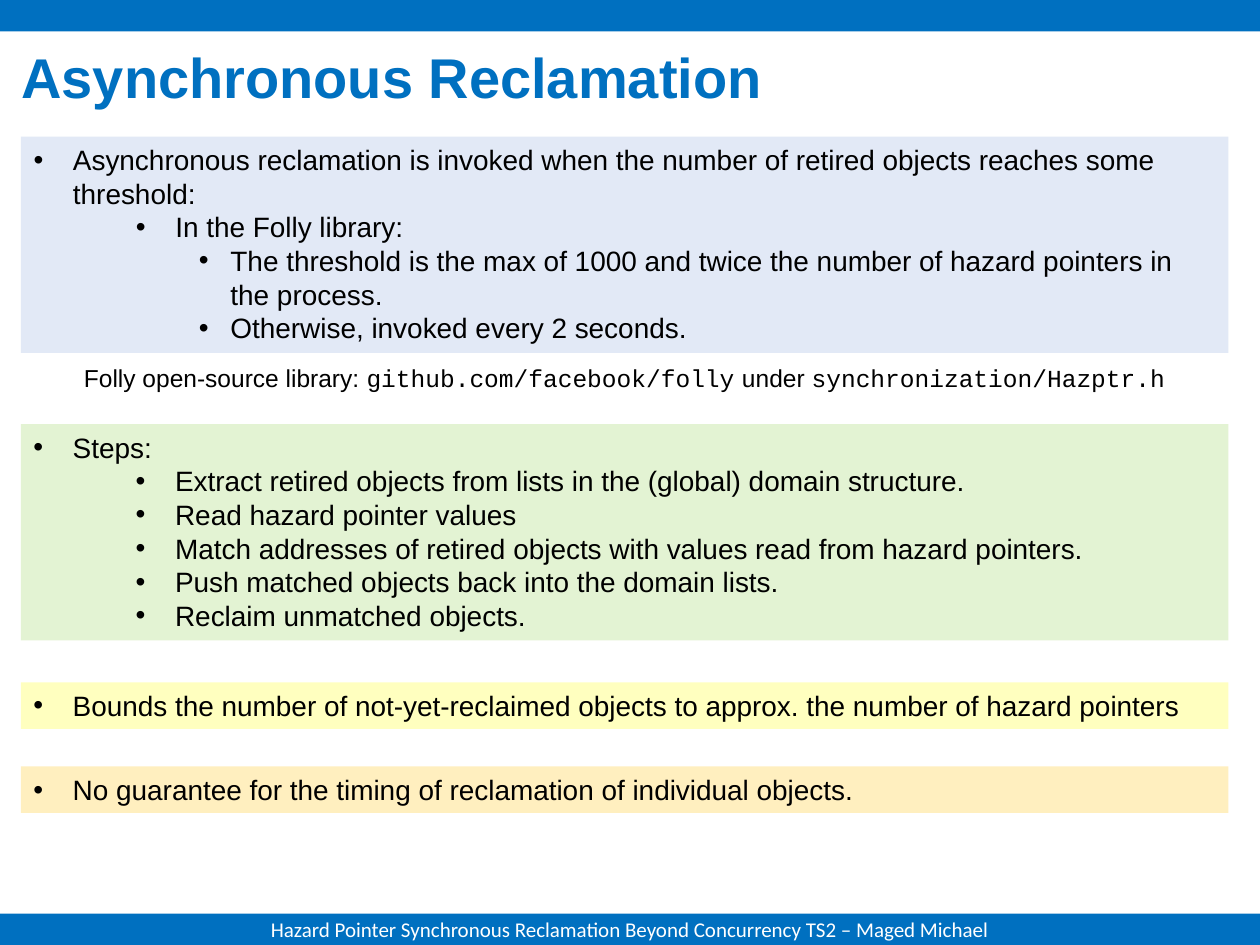
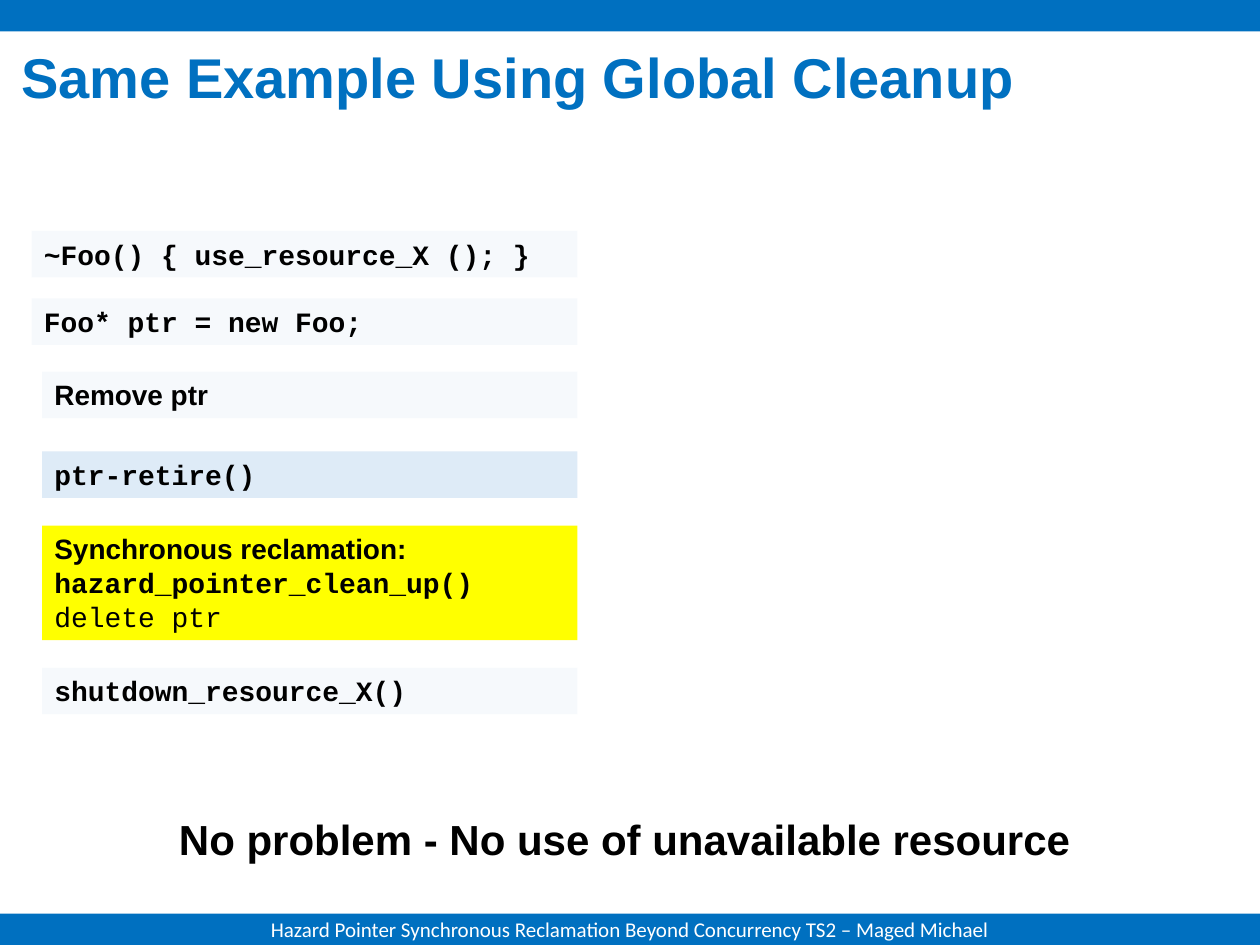
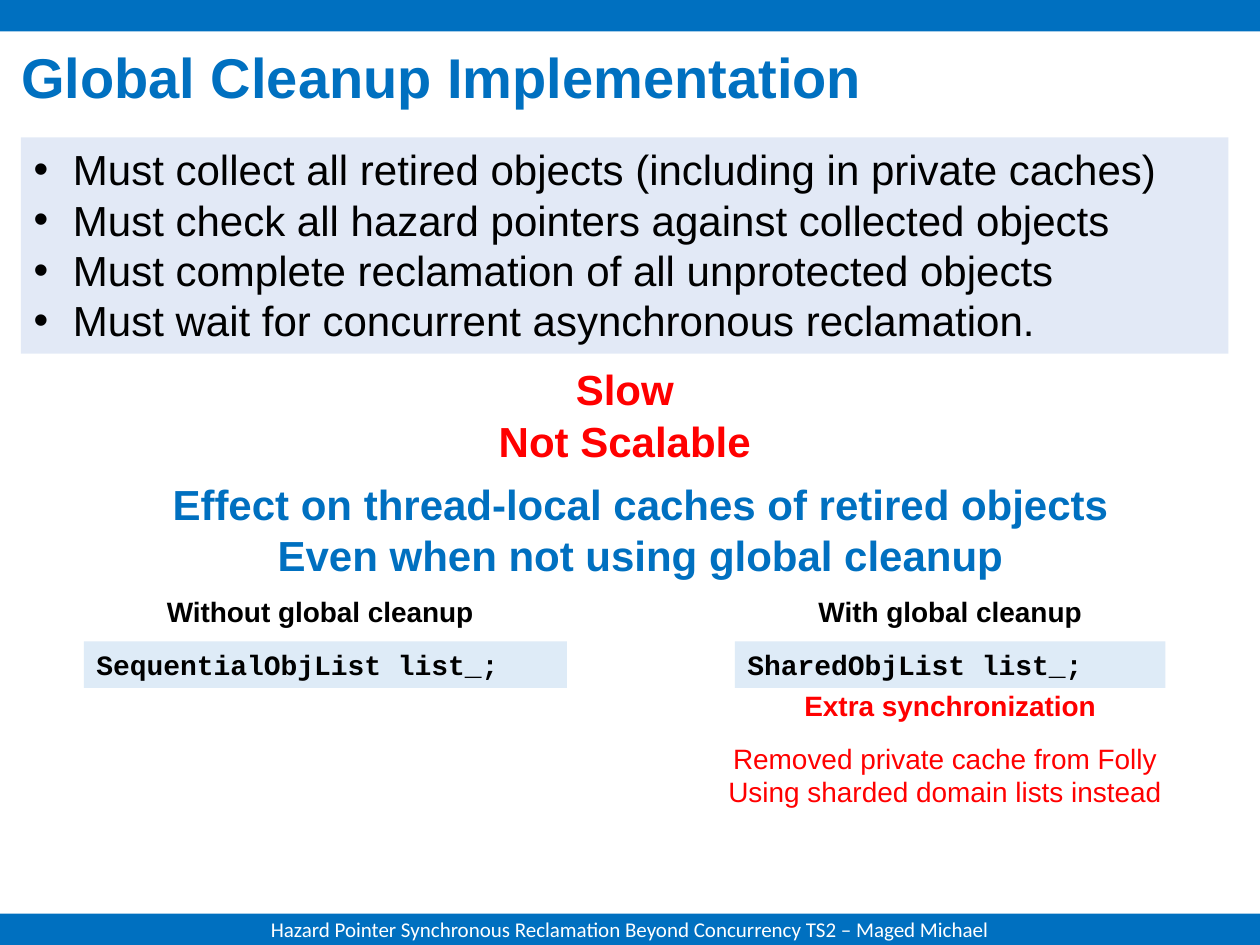
import pptx
import pptx.dml.color
import pptx.enum.shapes
import pptx.enum.text
import pptx.oxml.ns
import pptx.util
from lxml import etree

Pt = pptx.util.Pt
ALIGN = pptx.enum.text.PP_ALIGN
ANCHOR = pptx.enum.text.MSO_ANCHOR

COLORS = {
    "blue": "0070C0", "periwinkle": "8FAADC", "green": "92D050",
    "yellow": "FFFF00", "amber": "FFC000", "ice": "DEEBF7",
    "red": "FF0000", "black": "000000", "white": "FFFFFF",
}
SANS, MONO, FOOTER_FONT = "Arial", "Courier New", "Calibri"
FOOTER = "Hazard Pointer Synchronous Reclamation Beyond Concurrency TS2 – Maged Michael"
WIDTH, HEIGHT, BAR = 720, 540, 18
LEFT, FULL = 12, 690        # the wide column shared by panels and captions
LINE = 26.6                 # height of a box with one 16 pt line
INDENTS = [(22.5, -22.5), (81, -22.5), (112.5, -18)]    # margin, first line
TITLE_ONLY, TITLE_AND_BODY = 5, 1


def rgb(name):
    return pptx.dml.color.RGBColor.from_string(COLORS[name])


class Deck:
    def __init__(self):
        self.prs = pptx.Presentation()
        self.prs.slide_width, self.prs.slide_height = Pt(WIDTH), Pt(HEIGHT)
        self.s = None

    def new_slide(self, title, layout):
        self.s = self.prs.slides.add_slide(self.prs.slide_layouts[layout])
        sp = self.s.shapes.title
        self.place(sp, 5, 27, 709, 39.6)
        self.set_text(sp, [title], size=32, color="blue", bold=True, anchor=ANCHOR.MIDDLE)
        sp.text_frame.paragraphs[0].line_spacing = 0.8
        self.rect(0, 0, WIDTH, BAR, "blue")
        sp = self.rect(0, HEIGHT - BAR, WIDTH, BAR, "blue")
        self.set_text(sp, [FOOTER], size=12, font=FOOTER_FONT, color="white",
                      align=ALIGN.CENTER, anchor=ANCHOR.MIDDLE)

    def place(self, sp, x, y, w, h):
        sp.left, sp.top, sp.width, sp.height = Pt(x), Pt(y), Pt(w), Pt(h)

    def paint(self, sp, color, opacity=100):
        sp.fill.solid()
        sp.fill.fore_color.rgb = rgb(color)
        if opacity < 100:
            clr = sp._element.spPr.find(".//" + pptx.oxml.ns.qn("a:srgbClr"))
            etree.SubElement(clr, pptx.oxml.ns.qn("a:alpha"), val=str(opacity * 1000))

    def rect(self, x, y, w, h, color, opacity=100):
        sp = self.s.shapes.add_shape(pptx.enum.shapes.MSO_SHAPE.RECTANGLE,
                                     Pt(x), Pt(y), Pt(w), Pt(h))
        sp.shadow.inherit = False
        sp.line.fill.background()
        self.paint(sp, color, opacity)
        return sp

    def set_text(self, sp, lines, size=16, font=SANS, color="black", bold=False,
                 align=ALIGN.LEFT, anchor=ANCHOR.TOP):
        """Fill a shape; a line is a string or a list of (text, font, bold) runs."""
        tf = sp.text_frame
        tf.word_wrap = True
        tf.auto_size = pptx.enum.text.MSO_AUTO_SIZE.NONE
        tf.vertical_anchor = anchor
        for i, line in enumerate(lines):
            p = tf.paragraphs[0] if i == 0 else tf.add_paragraph()
            p.alignment = align
            p.space_before = Pt(0)
            for text, face, heavy in [(line, font, bold)] if isinstance(line, str) else line:
                r = p.add_run()
                r.text = text
                r.font.name, r.font.size, r.font.bold = face, Pt(size), heavy
                r.font.color.rgb = rgb(color)

    def bullets(self, sp, items, size=16):
        """Fill a shape with (level, text) list items."""
        self.set_text(sp, [text for _, text in items], size)
        for p, (level, _) in zip(sp.text_frame.paragraphs, items):
            p.level = level
            pPr = p._p.get_or_add_pPr()
            margin, first = INDENTS[level]
            pPr.set("marL", str(Pt(margin)))
            pPr.set("indent", str(Pt(first)))
            etree.SubElement(pPr, pptx.oxml.ns.qn("a:buFont"), typeface=SANS)
            etree.SubElement(pPr, pptx.oxml.ns.qn("a:buChar"), char="•")

    def body(self, y, h, items, size=16):
        sp = self.s.placeholders[1]
        self.place(sp, LEFT, y, FULL, h)
        self.paint(sp, "periwinkle", 25)
        self.bullets(sp, items, size)

    def panel(self, y, h, color, items):
        self.bullets(self.rect(LEFT, y, FULL, h, color, 25), items)

    def code(self, x, y, w, lines, h=LINE, color="ice", opacity=100, font=MONO):
        self.set_text(self.rect(x, y, w, h, color, opacity), lines, font=font, bold=True)

    def caption(self, x, y, w, h, lines, size=16, color="black", bold=True):
        sp = self.s.shapes.add_textbox(Pt(x), Pt(y), Pt(w), Pt(h))
        self.set_text(sp, lines, size, color=color, bold=bold, align=ALIGN.CENTER)


def asynchronous_reclamation(d):
    d.new_slide("Asynchronous Reclamation", TITLE_AND_BODY)
    d.body(78, 123.6, [
        (0, "Asynchronous reclamation is invoked when the number of retired objects "
            "reaches some threshold:"),
        (1, "In the Folly library:"),
        (2, "The threshold is the max of 1000 and twice the number of hazard pointers "
            "in the process."),
        (2, "Otherwise, invoked every 2 seconds."),
    ])
    d.caption(LEFT, 204, FULL, 24.5, [[
        ("Folly open-source library: ", SANS, False),
        ("github.com/facebook/folly", MONO, False),
        (" under ", SANS, False),
        ("synchronization/Hazptr.h", MONO, False),
    ]], size=14)
    d.panel(242.4, 123.6, "green", [
        (0, "Steps:"),
        (1, "Extract retired objects from lists in the (global) domain structure."),
        (1, "Read hazard pointer values"),
        (1, "Match addresses of retired objects with values read from hazard pointers."),
        (1, "Push matched objects back into the domain lists."),
        (1, "Reclaim unmatched objects."),
    ])
    d.panel(390, LINE, "yellow", [
        (0, "Bounds the number of not-yet-reclaimed objects to approx. "
            "the number of hazard pointers")])
    d.panel(438, LINE, "amber", [
        (0, "No guarantee for the timing of reclamation of individual objects.")])


def global_cleanup_example(d):
    d.new_slide("Same Example Using Global Cleanup", TITLE_ONLY)
    outer, inner, right = 18, 24, 330
    for x, y, text, font, opacity in [
        (outer, 132, "~Foo() { use_resource_X (); }", MONO, 25),
        (outer, 170.6, "Foo* ptr = new Foo;", MONO, 25),
        (inner, 212.4, "Remove ptr", SANS, 25),
        (inner, 258, "ptr-retire()", MONO, 100),
        (inner, 381.6, "shutdown_resource_X()", MONO, 25),
    ]:
        d.code(x, y, right - x, [text], opacity=opacity, font=font)
    d.code(inner, 300.4, right - inner, [
        [("Synchronous reclamation:", SANS, True)],
        "hazard_pointer_clean_up()",
        [("delete ptr", MONO, False)],
    ], h=65.4, color="yellow")
    d.caption(18, 461.5, 678, 36, ["No problem - No use of unavailable resource"], size=24)


def global_cleanup_implementation(d):
    d.new_slide("Global Cleanup Implementation", TITLE_AND_BODY)
    d.body(78.5, 123.6, [
        (0, "Must collect all retired objects (including in private caches)"),
        (0, "Must check all hazard pointers against collected objects"),
        (0, "Must complete reclamation of all unprotected objects"),
        (0, "Must wait for concurrent asynchronous reclamation."),
    ], size=24)
    for y, text in [(204, "Slow"), (234, "Not Scalable")]:
        d.caption(186, y, 342, 36, [text], size=24, color="red")
    d.caption(54, 270, 624, 65.4, ["Effect on thread-local caches of retired objects",
                                   "Even when not using global cleanup"],
              size=24, color="blue")
    half, right = 342, 372
    d.caption(LEFT, 336, half, LINE, ["Without global cleanup"])
    d.caption(right, 336, half, LINE, ["With global cleanup"])
    d.code(48, 366.5, 276, ["SequentialObjList list_;"])
    d.code(420, 366.5, 246, ["SharedObjList list_;"])
    d.caption(right, 390, half, LINE, ["Extra synchronization"], color="red")
    d.caption(360, 420, 360, 46, ["Removed private cache from Folly",
                                  "Using sharded domain lists instead"],
              color="red", bold=False)


def main():
    d = Deck()
    asynchronous_reclamation(d)
    global_cleanup_example(d)
    global_cleanup_implementation(d)
    d.prs.save("out.pptx")


if __name__ == "__main__":
    main()
